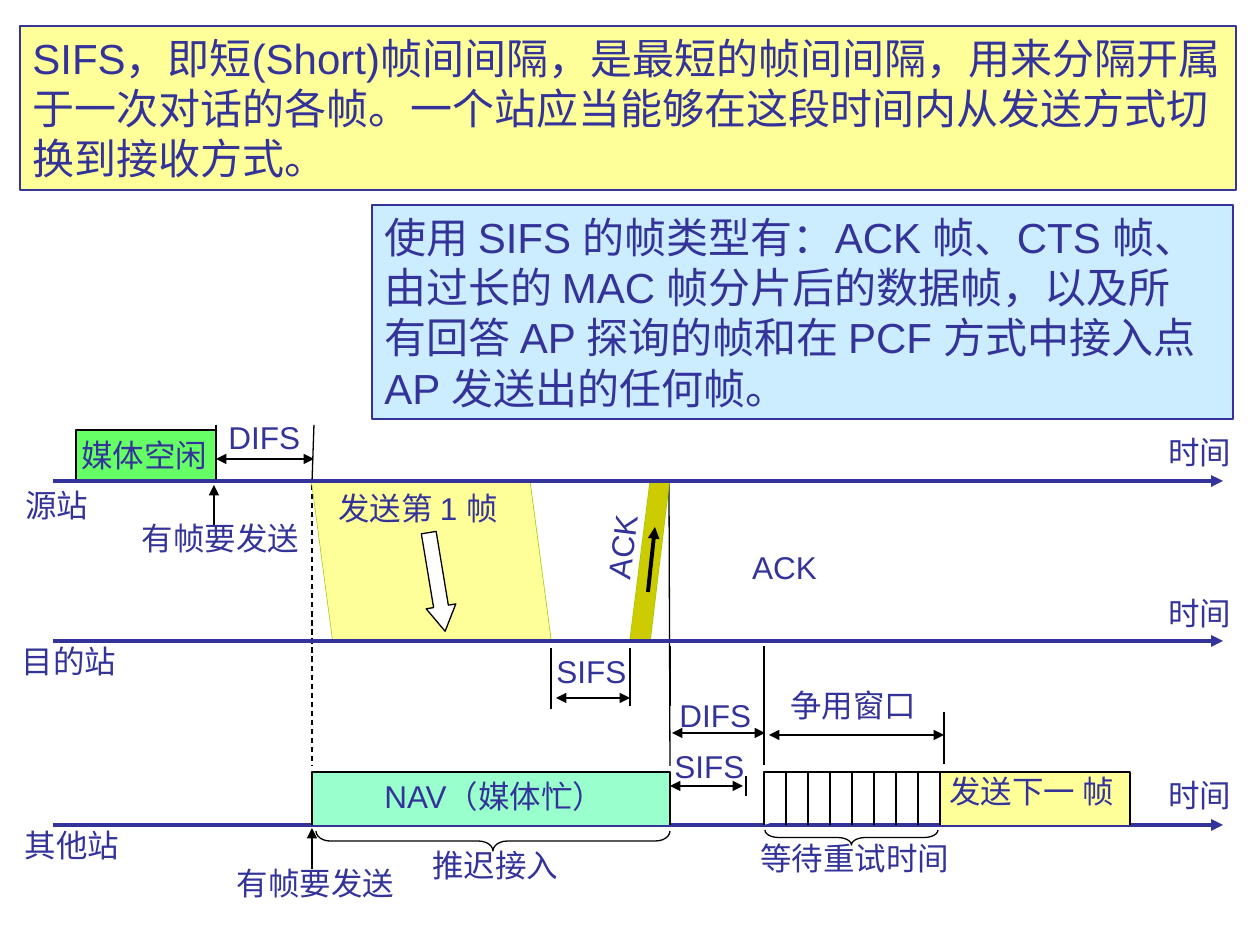
from dataclasses import dataclass
from lxml.etree import SubElement as Sub
from pptx import Presentation
from pptx.dml.color import RGBColor as Rgb
from pptx.enum.dml import MSO_LINE as Dash
from pptx.enum.shapes import MSO_CONNECTOR as Conn, MSO_SHAPE as Kind
from pptx.enum.text import MSO_ANCHOR as Anchor, MSO_AUTO_SIZE as Fit, PP_ALIGN as Align
from pptx.oxml.ns import qn
from pptx.util import Inches, Pt

PX = Inches(1) / 126  # one scale: 126 px to the inch


@dataclass(frozen=True)
class Theme:
    font: str = "Arial"
    label: int = 18
    note: int = 24
    thin: float = 0.75
    bold: float = 2.25
    ink: str = "333399"
    black: str = "000000"
    white: str = "FFFFFF"
    cream: str = "FFFF99"
    sky: str = "CCECFF"
    green: str = "66FF66"
    mint: str = "99FFCC"
    olive: str = "CCCC00"
    edge: str = "99CC00"


T = Theme()
SRC, DST, OTHER = 481, 641, 825  # time axes
ROOF = 772                       # top of the blocks on the last axis
ROOM = 24                        # spare width that keeps a label on one line


def emu(*vals):
    return [round(v * PX) for v in vals]


def put(obj, vals):
    for key, val in vals.items():
        setattr(obj, key, val)


def stroke(line, color, width=T.thin):
    line.fill.solid()
    line.color.rgb = Rgb.from_string(color)
    line.width = Pt(width)


def paint(shape, fill, edge=T.black):
    shape.shadow.inherit = False
    if fill:
        shape.fill.solid()
        shape.fill.fore_color.rgb = Rgb.from_string(fill)
    else:
        shape.fill.background()
    if edge:
        stroke(shape.line, edge)
    else:
        shape.line.fill.background()


def write(shape, text, size, align=Align.LEFT, wrap=False, fit=Fit.NONE):
    frame = shape.text_frame
    put(frame, {"word_wrap": wrap, "auto_size": fit, "vertical_anchor": Anchor.TOP})
    para = frame.paragraphs[0]
    put(para, {"text": text, "alignment": align})
    font = para.runs[0].font
    put(font, {"name": T.font, "size": Pt(size)})
    font.color.rgb = Rgb.from_string(T.ink)


def label(shapes, text, x, y, w, align=Align.LEFT, turn=0):
    shift = ROOM // 2 if align == Align.CENTER else 0
    box = shapes.add_textbox(*emu(x - shift, y, w + ROOM, 50))
    box.rotation = turn
    write(box, text, T.label, align, wrap=True)


def note(shapes, text, area, fill, right=13):
    box = shapes.add_shape(Kind.RECTANGLE, *emu(*area))
    paint(box, fill, T.ink)
    write(box, text, T.note, wrap=True, fit=Fit.SHAPE_TO_FIT_TEXT)
    box.text_frame.margin_right = emu(right)[0]


def rule(shapes, ends, color=T.black, width=T.thin, tips=(), dash=None):
    line = shapes.add_connector(Conn.STRAIGHT, *emu(*ends))
    stroke(line.line, color, width)
    if dash:
        line.line.dash_style = dash
    props = line.line._get_or_add_ln()
    for tip in tips:
        Sub(props, qn("a:" + tip), type="triangle")
    Sub(line._element.spPr, qn("a:effectLst"))


def axis(shapes, y):
    rule(shapes, (53, y, 1223, y), T.ink, T.bold, ["tailEnd"])


def shape_of(shapes, points, fill, edge=T.black, close=False):
    pen = shapes.build_freeform(*points[0], scale=PX)
    pen.add_line_segments(points[1:], close=close)
    paint(pen.convert_to_shape(), fill, edge)


def block(shapes, left, right, top, base, fill):
    shape_of(shapes, [(left, base), (left, top), (right, top), (right, base)], fill)


def band(shapes, points, fill):
    for start, end in (points[:2], points[:1:-1]):
        rule(shapes, (*start, *end), T.edge)
    shape_of(shapes, points, fill, None, True)


def preset(shapes, kind, area, turn, adjust, fill=None):
    shape = shapes.add_shape(kind, *emu(*area))
    paint(shape, fill)
    shape.rotation = turn
    for i, val in enumerate(adjust):
        shape.adjustments[i] = val


def main():
    deck = Presentation()
    put(deck, {"slide_width": Inches(10), "slide_height": Inches(7.5)})
    shapes = deck.slides.add_slide(deck.slide_layouts[6]).shapes

    # Blocks on the source axis and on the axis of the other stations
    axis(shapes, OTHER)
    block(shapes, 76, 216, 430, SRC, T.green)
    block(shapes, 312, 670, ROOF, OTHER, T.mint)
    block(shapes, 940, 1130, ROOF, OTHER, T.cream)
    shape_of(shapes, [(764, OTHER), (764, ROOF), (940, ROOF)], T.white)
    for i in range(1, 8):
        x = 764 + 22 * i
        rule(shapes, (x, ROOF, x, OTHER))

    # Limits of the intervals
    for ends in [(216, 425, 216, 452), (312, 483, 314, 425), (551, 709, 551, 648),
                 (630, 648, 630, 706), (670, 706, 670, 646), (669, 483, 670, 766),
                 (764, 646, 764, 765), (944, 712, 944, 764), (746, 776, 746, 796)]:
        rule(shapes, ends)
    rule(shapes, (312, 485, 312, 766), dash=Dash.DASH)

    # Spans of the intervals
    for left, right, y in [(216, 314, 459), (556, 630, 698), (672, 765, 733),
                           (769, 944, 735), (670, 743, 786)]:
        rule(shapes, (left, y, right, y), tips=["headEnd", "tailEnd"])

    # Moments at which a frame is ready
    for x, low, high in [(214, 527, 485), (312, 869, 828)]:
        rule(shapes, (x, low, x, high), tips=["tailEnd"])

    # Braces below the last axis
    preset(shapes, Kind.LEFT_BRACE, (483, 664, 20, 354), 270, (0.72, 0.5))
    preset(shapes, Kind.LEFT_BRACE, (844, 751, 15, 173), 270, (0.92, 0.5))

    # Frames on their way between source and destination
    label(shapes, "ACK", 577, 522, 89, Align.CENTER, 277.1)
    band(shapes, [(312, 483), (333, DST), (551, DST), (530, 483)], T.cream)
    band(shapes, [(650, 483), (630, DST), (650, DST), (669, 483)], T.olive)
    preset(shapes, Kind.DOWN_ARROW, (422, 532, 30, 100), 350.6, (0.5, 0.84), T.white)
    axis(shapes, DST)
    axis(shapes, SRC)
    rule(shapes, (648, 592, 655, 527), width=T.bold, tips=["tailEnd"])

    # Labels
    for y in (427, 588, 770):
        label(shapes, "时间", 1156, y, 80)
    for text, x, y, w in [
            ("媒体空闲", 69, 430, 151), ("DIFS", 216, 412, 97),
            ("发送第 1 帧", 326, 483, 199), ("SIFS", 544, 646, 95),
            ("DIFS", 667, 690, 97), ("SIFS", 662, 741, 95),
            ("争用窗口", 778, 680, 151), ("NAV（媒体忙）", 372, 771, 255),
            ("发送下一 帧", 937, 766, 189), ("推迟接入", 420, 840, 151),
            ("等待重试时间", 748, 833, 214)]:
        label(shapes, text, x, y, w)
    for text, x, y, w in [
            ("源站", 13, 480, 88), ("目的站", 9, 636, 120), ("其他站", 12, 820, 120),
            ("有帧要发送", 129, 513, 183), ("有帧要发送", 224, 858, 183),
            ("ACK", 740, 542, 89)]:
        label(shapes, text, x, y, w, Align.CENTER)

    # Notes
    note(shapes, "SIFS，即短(Short)帧间间隔，是最短的帧间间隔，用来分隔开属于一次对话的各帧。"
         "一个站应当能够在这段时间内从发送方式切换到接收方式。", (20, 26, 1216, 164), T.cream)
    note(shapes, "使用 SIFS 的帧类型有：ACK 帧、CTS 帧、由过长的 MAC 帧分片后的数据帧，"
         "以及所有回答 AP 探询的帧和在 PCF 方式中接入点 AP 发送出的任何帧。",
         (372, 205, 861, 214), T.sky, right=28)
    deck.save("out.pptx")


if __name__ == "__main__":
    main()
